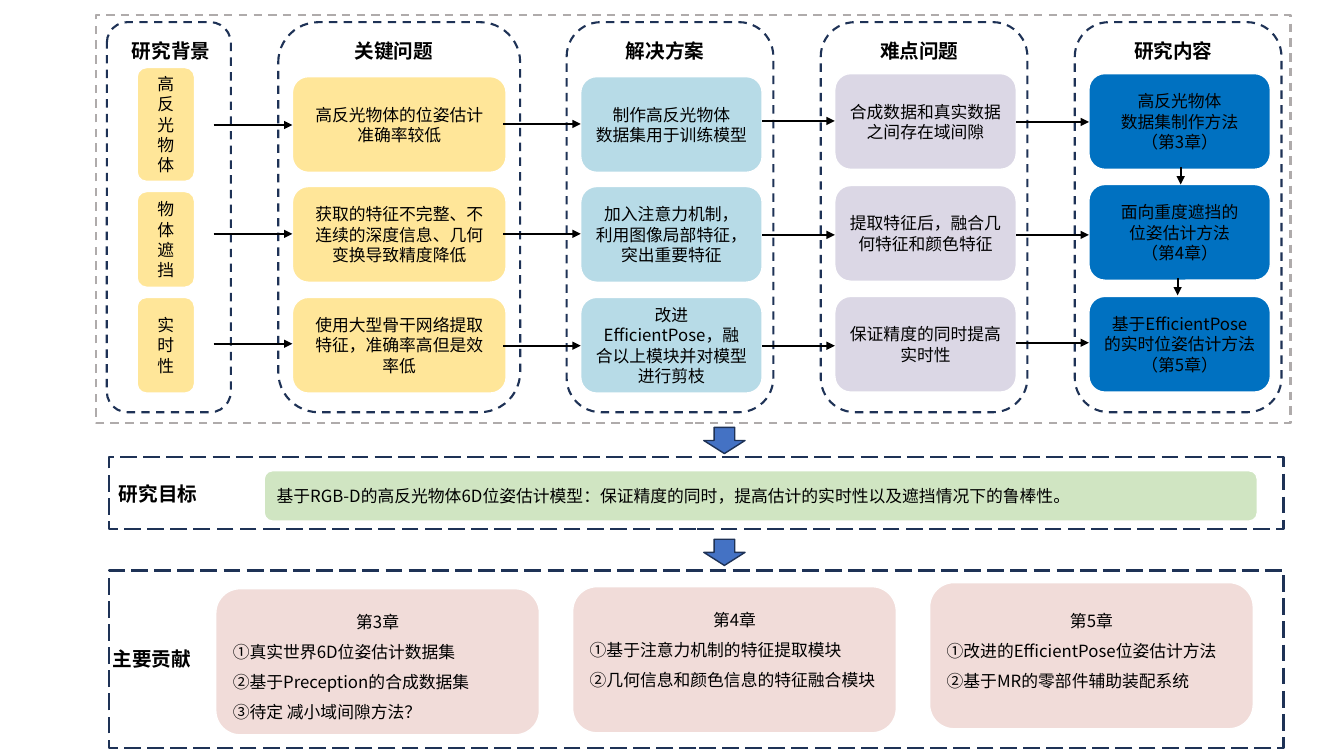
import pptx
import pptx.util
import lxml.etree
from pptx.dml.color import RGBColor
from pptx.enum.dml import MSO_LINE
from pptx.enum.shapes import MSO_CONNECTOR, MSO_SHAPE
from pptx.enum.text import MSO_ANCHOR, PP_ALIGN
from pptx.oxml.ns import qn

PX = 9144  # one px is a hundredth of an inch
FONT = "Noto Sans CJK SC"

BLACK = RGBColor(0x00, 0x00, 0x00)
WHITE = RGBColor(0xFF, 0xFF, 0xFF)
GRAY = RGBColor(0xAF, 0xAB, 0xAB)
NAVY = RGBColor(0x1E, 0x32, 0x56)
YELLOW = RGBColor(0xFF, 0xE6, 0x99)
AQUA = RGBColor(0xB7, 0xDB, 0xE7)
LILAC = RGBColor(0xDB, 0xD7, 0xE5)
BLUE = RGBColor(0x00, 0x71, 0xC1)
GREEN = RGBColor(0xD0, 0xE5, 0xC2)
PINK = RGBColor(0xF1, 0xDC, 0xD9)
ARROW_BLUE = RGBColor(0x44, 0x72, 0xC4)

BOX_HEIGHT = 95
# heading, heading left, frame (left, width), box (left, width), fill, [(top, height, text)]
COLUMNS = [
    ("研究背景", 121, (106, 123), (136, 57), YELLOW, [
        (67, 113, "高反光物体"),
        (190, BOX_HEIGHT, "物体遮挡"),
        (295, BOX_HEIGHT, "实时性")]),
    ("关键问题", 342, (276, 240), (290, 212), YELLOW, [
        (76, BOX_HEIGHT, "高反光物体的位姿估计准确率较低"),
        (185, BOX_HEIGHT, "获取的特征不完整、不连续的深度信息、几何变换导致精度降低"),
        (295, BOX_HEIGHT, "使用大型骨干网络提取特征，准确率高但是效率低")]),
    ("解决方案", 611, (562, 205), (576, 180), AQUA, [
        (76, BOX_HEIGHT, "制作高反光物体\n数据集用于训练模型"),
        (185, BOX_HEIGHT, "加入注意力机制，\n利用图像局部特征，突出重要特征"),
        (295, BOX_HEIGHT, "改进EfficientPose，融合以上模块并对模型进行剪枝")]),
    ("难点问题", 863, (814, 205), (828, 180), LILAC, [
        (73, BOX_HEIGHT, "合成数据和真实数据之间存在域间隙"),
        (184, BOX_HEIGHT, "提取特征后，融合几何特征和颜色特征"),
        (294, BOX_HEIGHT, "保证精度的同时提高实时性")]),
    ("研究内容", 1115, (1066, 205), (1080, 180), BLUE, [
        (73, BOX_HEIGHT, "高反光物体\n数据集制作方法\n（第3章）"),
        (183, BOX_HEIGHT, "面向重度遮挡的\n位姿估计方法\n（第4章）"),
        (294, BOX_HEIGHT, "基于EfficientPose的实时位姿估计方法\n（第5章）")]),
]

# left, right, heights of the three arrows between neighbouring columns
FLOW = [
    (212, 290, (124, 232, 341)),
    (499, 576, (123, 232, 343)),
    (756, 828, (120, 233, 343)),
    (1008, 1080, (121, 233, 340)),
]
CHAPTER_STEPS = [(1171, 166, 183), (1168, 276, 293)]

GOAL = "基于RGB-D的高反光物体6D位姿估计模型：保证精度的同时，提高估计的实时性以及遮挡情况下的鲁棒性。"

# top, bottom inset, chapter, contributions
CARDS = [
    (584, 5, "第3章", "①真实世界6D位姿估计数据集\n②基于Preception的合成数据集\n③待定 减小域间隙方法？"),
    (582, 35, "第4章", "①基于注意力机制的特征提取模块\n②几何信息和颜色信息的特征融合模块"),
    (578, 25, "第5章", "①改进的EfficientPose位姿估计方法\n②基于MR的零部件辅助装配系统"),
]


def px(*lengths):
    return [length * PX for length in lengths]


def write(frame, text, size=12, bold=False, align=PP_ALIGN.LEFT, spacing=None, more=False):
    """Write one paragraph per line of text; more=True adds below existing text."""
    frame.word_wrap = True
    for number, line in enumerate(text.split("\n")):
        para = frame.add_paragraph() if more or number else frame.paragraphs[0]
        para.alignment = align
        if spacing:
            para.line_spacing = spacing
        span = para.add_run()
        span.text = line
        span.font.size = pptx.util.Pt(size)
        span.font.bold = bold
        span.font.color.rgb = BLACK
        span.font.name = FONT
        east_asian = lxml.etree.SubElement(span.font._element, qn("a:ea"))
        east_asian.set("typeface", FONT)


def add_box(page, kind, bounds, fill=None, line=WHITE, width=1, dash=None):
    box = page.shapes.add_shape(kind, *px(*bounds))
    box.shadow.inherit = False
    if fill is None:
        box.fill.background()
    else:
        box.fill.solid()
        box.fill.fore_color.rgb = fill
    box.line.color.rgb = line
    box.line.width = pptx.util.Pt(width)
    if dash:
        box.line.dash_style = dash
    box.text_frame.vertical_anchor = MSO_ANCHOR.MIDDLE
    return box


def add_heading(page, left, top, text):
    box = page.shapes.add_textbox(*px(left, top, 107, 34))
    write(box.text_frame, text, size=14, bold=True)


def add_arrow(page, *ends):
    arrow = page.shapes.add_connector(MSO_CONNECTOR.STRAIGHT, *px(*ends))
    arrow.line.color.rgb = BLACK
    arrow.line.width = pptx.util.Pt(1.5)
    head = lxml.etree.SubElement(arrow.line._get_or_add_ln(), qn("a:tailEnd"))
    head.set("type", "triangle")
    lxml.etree.SubElement(arrow._element.spPr, qn("a:effectLst"))


def add_column(page, heading, heading_left, frame, box, fill, rows):
    add_box(page, MSO_SHAPE.ROUNDED_RECTANGLE, (frame[0], 22, frame[1], 387),
            line=NAVY, width=1.5, dash=MSO_LINE.DASH)
    add_heading(page, heading_left, 34, heading)
    for top, height, text in rows:
        cell = add_box(page, MSO_SHAPE.ROUNDED_RECTANGLE, (box[0], top, box[1], height), fill)
        write(cell.text_frame, text, align=PP_ALIGN.CENTER)


def add_band(page, top, height, heading_left, heading_top, heading):
    add_box(page, MSO_SHAPE.RECTANGLE, (108, top, 1165, height), WHITE, NAVY, 1.5,
            MSO_LINE.LONG_DASH)
    add_heading(page, heading_left, heading_top, heading)


def add_card(page, left, top, bottom_inset, chapter, contributions):
    card = add_box(page, MSO_SHAPE.ROUNDED_RECTANGLE, (left, top, 321, 145), PINK)
    frame = card.text_frame
    frame.margin_bottom = bottom_inset * PX
    write(frame, chapter, align=PP_ALIGN.CENTER, spacing=1.5)
    write(frame, contributions, spacing=1.5, more=True)


def main():
    deck = pptx.Presentation()
    deck.slide_width, deck.slide_height = px(1333, 750)
    page = deck.slides.add_slide(deck.slide_layouts[6])

    # Research framework
    add_box(page, MSO_SHAPE.RECTANGLE, (95, 15, 1185, 405), line=GRAY, width=1.5,
            dash=MSO_LINE.DASH)
    for column in COLUMNS:
        add_column(page, *column)

    # Research goal
    add_band(page, 453, 72, 108, 473, "研究目标")
    goal = add_box(page, MSO_SHAPE.ROUNDED_RECTANGLE, (262, 467, 985, 50), GREEN)
    write(goal.text_frame, GOAL)

    # Main contributions
    add_band(page, 566, 176, 102, 637, "主要贡献")
    for number, card in enumerate(CARDS):
        add_card(page, 214 + 354 * number, *card)

    # Arrows between boxes and between parts
    for left, right, heights in FLOW:
        for y in heights:
            add_arrow(page, left, y, right, y)
    for x, top, bottom in CHAPTER_STEPS:
        add_arrow(page, x, top, x, bottom)
    for top in (424, 535):
        add_box(page, MSO_SHAPE.DOWN_ARROW, (698, top, 41, 26), ARROW_BLUE, NAVY)

    deck.save("out.pptx")


if __name__ == "__main__":
    main()
